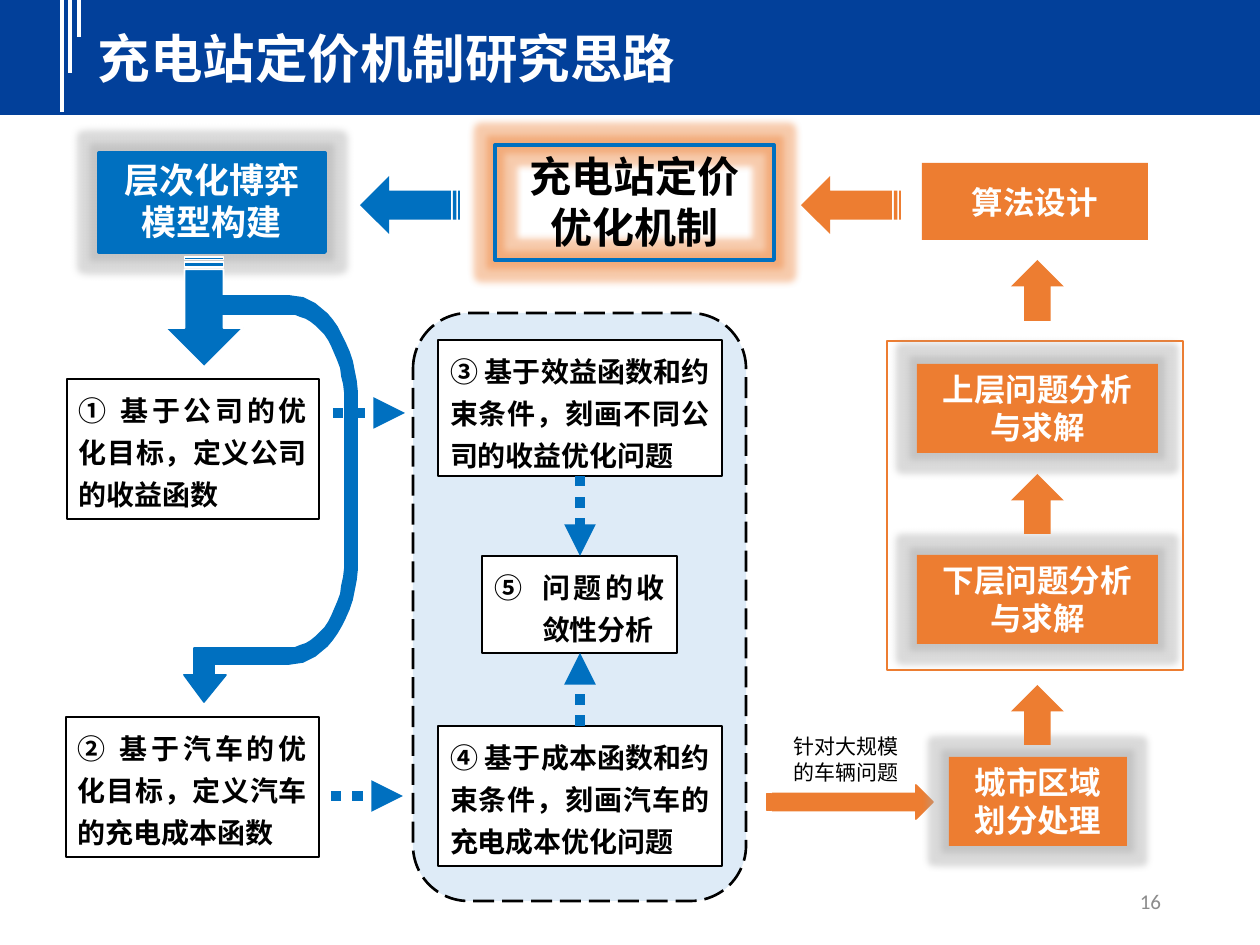
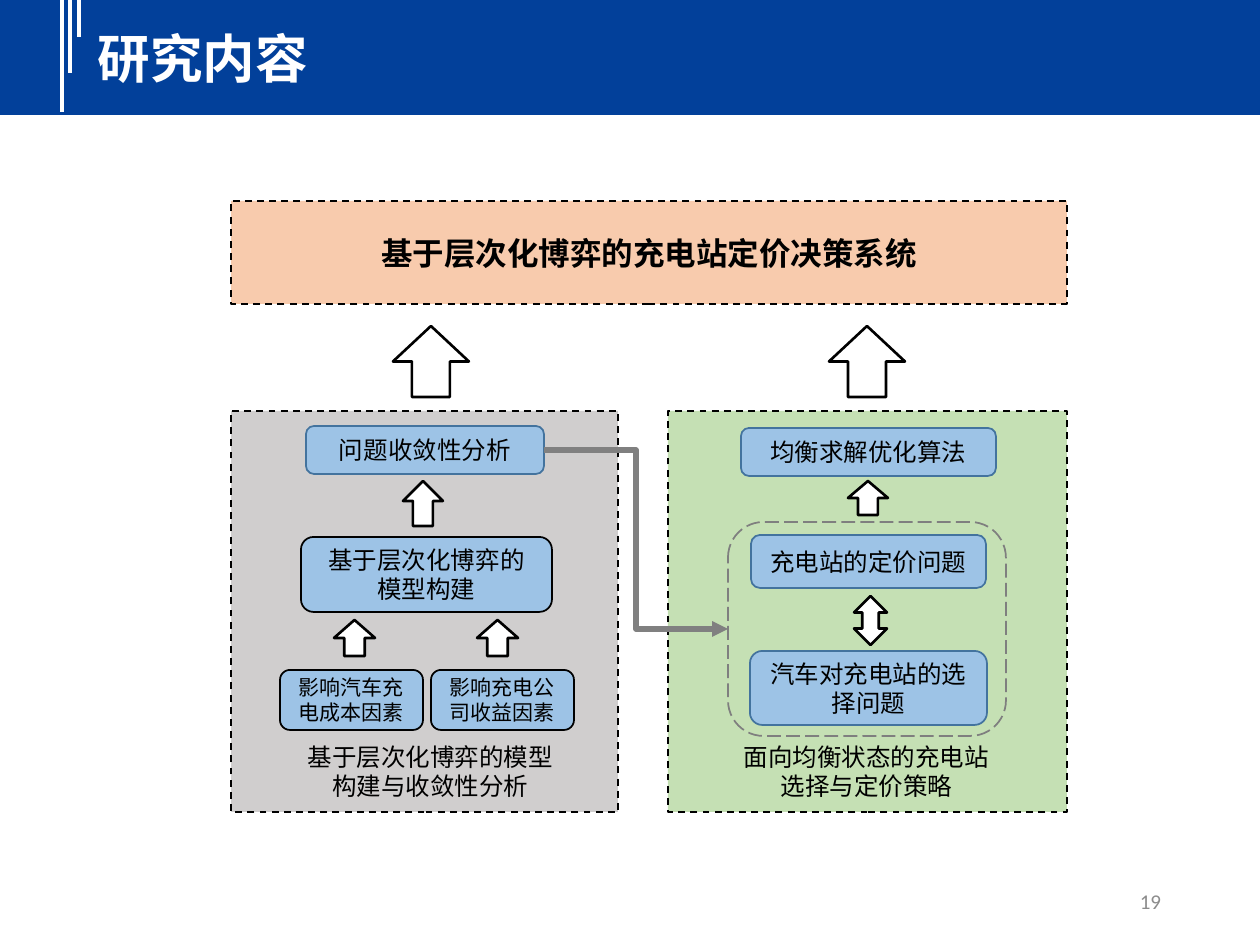
import pptx
import pptx.dml.color
import pptx.enum.dml
import pptx.enum.shapes
import pptx.enum.text
import pptx.oxml
import pptx.oxml.ns
import pptx.util
import lxml.etree

PX = 914400 / 126
BLUE, ORANGE, BLACK, WHITE = "0070C0", "ED7D31", "000000", "FFFFFF"
NAVY, SKY, SKY_EDGE, GREY = "02409A", "9DC3E6", "43739E", "A5A5A5"
CJK = "Noto Sans CJK SC"
SHAPE = pptx.enum.shapes.MSO_SHAPE
DASH = pptx.enum.dml.MSO_LINE
ALIGN = pptx.enum.text.PP_ALIGN
ANCHOR = pptx.enum.text.MSO_ANCHOR


def emu(px):
    return pptx.util.Emu(round(px * PX))


def rgb(code):
    return pptx.dml.color.RGBColor.from_string(code)


def add_xml(parent, tag, **attrs):
    return lxml.etree.SubElement(parent, pptx.oxml.ns.qn(tag), attrs)


def bezier(start, c1, c2, end, steps=16):
    points = []
    for i in range(1, steps + 1):
        t = i / steps
        weights = ((1 - t) ** 3, 3 * t * (1 - t) ** 2, 3 * t * t * (1 - t), t ** 3)
        points.append(tuple(sum(w * q[axis] for w, q in zip(weights, (start, c1, c2, end)))
                            for axis in (0, 1)))
    return points


class Deck:
    def __init__(self):
        self.prs = pptx.Presentation()
        self.prs.slide_width, self.prs.slide_height = emu(1260), emu(945)

    def slide(self, title, number):
        self.s = self.prs.slides.add_slide(self.prs.slide_layouts[6])
        self.shape(SHAPE.RECTANGLE, 0, 0, 1260, 115, NAVY)
        for x, bottom in ((62, 112), (70, 73), (79, 37)):
            self.line(x, 0, x, bottom, WHITE, 2.25)
        self.text(86, 20, 1149, 77, title, 30, WHITE, bold=True, align=ALIGN.LEFT)
        self.text(890, 876, 283, 50, number, 12, "8C8C8C", align=ALIGN.RIGHT,
                  anchor=ANCHOR.MIDDLE, font="Calibri")

    def paint(self, sp, fill=None, line=None, width=1, dash=None):
        sp.shadow.inherit = False
        if fill:
            sp.fill.solid()
            sp.fill.fore_color.rgb = rgb(fill)
        else:
            sp.fill.background()
        if line:
            self.stroke(sp, line, width, dash)
        else:
            sp.line.fill.background()

    def stroke(self, sp, color, width, dash):
        sp.line.color.rgb = rgb(color)
        sp.line.width = pptx.util.Pt(width)
        if dash:
            sp.line.dash_style = dash

    def shape(self, kind, x, y, w, h, fill=None, line=None, width=1, dash=None, turn=0):
        sp = self.s.shapes.add_shape(kind, emu(x), emu(y), emu(w), emu(h))
        self.paint(sp, fill, line, width, dash)
        sp.rotation = turn
        return sp

    def glow(self, sp, color):
        effects = sp._element.spPr.find(pptx.oxml.ns.qn("a:effectLst"))
        clr = add_xml(add_xml(effects, "a:glow", rad="101600"), "a:srgbClr", val=color)
        add_xml(clr, "a:alpha", val="40000")

    def outline(self, points, color):
        builder = self.s.shapes.build_freeform(*points[0], scale=PX)
        builder.add_line_segments(points[1:], close=True)
        self.paint(builder.convert_to_shape(), color, color)

    def line(self, x1, y1, x2, y2, color, width, dash=None, arrow=False, elbow=False):
        kinds = pptx.enum.shapes.MSO_CONNECTOR
        cn = self.s.shapes.add_connector(kinds.ELBOW if elbow else kinds.STRAIGHT,
                                         emu(x1), emu(y1), emu(x2), emu(y2))
        self.stroke(cn, color, width, dash)
        if arrow:
            add_xml(cn.line._get_or_add_ln(), "a:tailEnd", type="triangle")
        add_xml(cn._element.spPr, "a:effectLst")

    def text(self, x, y, w, h, text, size, color, **style):
        sp = self.s.shapes.add_textbox(emu(x), emu(y), emu(w), emu(h))
        self.label(sp, text, size, color, **style)

    def label(self, sp, text, size, color=BLACK, bold=False, align=ALIGN.CENTER,
              anchor=ANCHOR.TOP, spacing=1, font=CJK, number=None):
        tf = sp.text_frame
        tf.word_wrap = True
        tf.vertical_anchor = anchor
        tf.margin_left = tf.margin_right = emu(12)
        tf.margin_top = tf.margin_bottom = emu(6)
        tf.text = text
        for p in tf.paragraphs:
            p.alignment = align
            p.line_spacing = pptx.util.Pt(size * 1.2 * spacing)
            pPr = p._p.get_or_add_pPr()
            if number:
                pPr.set("marL", str(emu(48)))
                pPr.set("indent", str(emu(-48)))
                add_xml(add_xml(pPr, "a:buClr"), "a:srgbClr", val=color)
                add_xml(pPr, "a:buAutoNum", type="circleNumDbPlain", startAt=str(number))
            p.font.name = font
            p.font.size = pptx.util.Pt(size)
            p.font.bold = bold
            p.font.color.rgb = rgb(color)
            add_xml(pPr.find(pptx.oxml.ns.qn("a:defRPr")), "a:ea", typeface=font)

    def step(self, x, y, w, h, text, number=None):
        sp = self.shape(SHAPE.RECTANGLE, x, y, w, h, WHITE, BLACK, 0.75)
        self.label(sp, text, 16, bold=True, align=ALIGN.JUSTIFY, spacing=1.25, number=number)

    def block(self, x, y, w, h, text, size, fill, glow=GREY, line=None, color=WHITE,
              anchor=ANCHOR.TOP):
        sp = self.shape(SHAPE.RECTANGLE, x, y, w, h, fill, line, 2.25)
        if glow:
            self.glow(sp, glow)
        self.label(sp, text, size, color, bold=True, anchor=anchor)

    def node(self, x, y, w, h, text, size=14, line=SKY_EDGE):
        sp = self.shape(SHAPE.ROUNDED_RECTANGLE, x, y, w, h, SKY, line)
        self.label(sp, text, size, anchor=ANCHOR.MIDDLE)

    def dotted_arrow(self, x1, y1, x2, y2):
        self.line(x1, y1, x2, y2, BLUE, 6, DASH.ROUND_DOT, arrow=True)


def pricing_approach(d):
    d.slide("充电站定价机制研究思路", "16")
    d.shape(SHAPE.ROUNDED_RECTANGLE, 413, 313, 333, 588, "DEEBF7", BLACK, 1.5, DASH.LONG_DASH)

    d.block(495, 145, 279, 115, "充电站定价\n优化机制", 24, None, ORANGE, BLUE, BLACK)
    d.block(99, 153, 226, 99, "层次化博弈模型构建", 20, BLUE, GREY, BLUE)
    for x, color in ((360, BLUE), (801, ORANGE)):
        d.shape(SHAPE.STRIPED_RIGHT_ARROW, x, 176, 100, 58, color, turn=180)
    d.shape(SHAPE.STRIPED_RIGHT_ARROW, 149, 273, 110, 78, BLUE, WHITE, turn=90)

    d.step(67, 379, 252, 140, "① 基于公司的优化目标，定义公司的收益函数")
    d.step(66, 717, 253, 140, "② 基于汽车的优化目标，定义汽车的充电成本函数")
    d.step(438, 340, 284, 136, "③ 基于效益函数和约束条件，刻画不同公司的收益优化问题")
    d.step(438, 726, 284, 140, "④ 基于成本函数和约束条件，刻画汽车的充电成本优化问题")
    d.step(482, 556, 195, 97, "问题的收敛性分析", number=5)

    outer = [(202, 296), (289, 296), *bezier((289, 296), (326, 296), (357, 344), (357, 402)),
             (357, 559), *bezier((357, 559), (357, 617), (326, 664), (289, 664))]
    head = [(214, 664), (214, 675), (226, 675), (204, 702), (184, 675), (194, 675), (194, 648)]
    inner = [(289, 648), *bezier((289, 648), (320, 648), (345, 609), (345, 559)),
             (345, 402), *bezier((345, 402), (345, 353), (320, 314), (289, 314)), (202, 314)]
    d.outline(outer + head + inner, BLUE)

    d.dotted_arrow(333, 413, 405, 413)
    d.dotted_arrow(331, 796, 403, 796)
    d.dotted_arrow(580, 476, 580, 556)
    d.dotted_arrow(580, 726, 580, 653)

    d.shape(SHAPE.STRIPED_RIGHT_ARROW, 767, 785, 166, 34, ORANGE, ORANGE)
    d.text(782, 728, 137, 63, "针对大规模的车辆问题", 12, BLACK, align=ALIGN.LEFT)
    d.shape(SHAPE.RECTANGLE, 887, 341, 296, 329, None, ORANGE)
    d.block(949, 757, 178, 89, "城市区域划分处理", 18, ORANGE)
    d.block(917, 555, 241, 89, "下层问题分析与求解", 18, ORANGE)
    d.block(917, 364, 241, 89, "上层问题分析与求解", 18, ORANGE)
    d.block(922, 163, 226, 77, "算法设计", 18, ORANGE, None, anchor=ANCHOR.MIDDLE)
    for y, h in ((260, 61), (474, 60), (685, 60)):
        d.shape(SHAPE.UP_ARROW, 1011, y, 53, h, ORANGE)


def research_content(d):
    d.slide("研究内容", "19")
    for x, w, fill in ((231, 387, "D0CECE"), (668, 399, "C5E0B4")):
        d.shape(SHAPE.RECTANGLE, x, 411, w, 401, fill, BLACK, 1, DASH.DASH)
    d.shape(SHAPE.ROUNDED_RECTANGLE, 728, 522, 278, 214, None, "7F7F7F", 1, DASH.LONG_DASH)
    system = d.shape(SHAPE.RECTANGLE, 231, 201, 836, 103, "F8CBAD", BLACK, 1, DASH.DASH)
    d.label(system, "基于层次化博弈的充电站定价决策系统", 18, bold=True, anchor=ANCHOR.MIDDLE)

    for x, caption in ((292, "基于层次化博弈的模型构建与收敛性分析"),
                       (728, "面向均衡状态的充电站选择与定价策略")):
        d.text(x, 736, 277, 72, caption, 14, BLACK)

    d.node(306, 426, 238, 48, "问题收敛性分析")
    d.node(301, 537, 251, 75, "基于层次化博弈的模型构建", line=BLACK)
    for x, factor in ((280, "影响汽车充电成本因素"), (431, "影响充电公司收益因素")):
        d.node(x, 670, 143, 60, factor, 12, BLACK)
    d.node(741, 428, 255, 48, "均衡求解优化算法")
    d.node(751, 535, 235, 53, "充电站的定价问题")
    d.node(750, 651, 237, 74, "汽车对充电站的选择问题")

    for x, y, w, h in ((393, 326, 76, 71), (829, 326, 76, 71), (403, 481, 40, 45),
                       (334, 620, 41, 36), (477, 620, 41, 36), (848, 481, 40, 34)):
        d.shape(SHAPE.UP_ARROW, x, y, w, h, WHITE, BLACK, 1.5)
    d.shape(SHAPE.UP_DOWN_ARROW, 854, 596, 33, 49, WHITE, BLACK, 1.5)
    d.line(544, 450, 728, 629, "808080", 3, arrow=True, elbow=True)


def main():
    deck = Deck()
    pricing_approach(deck)
    research_content(deck)
    deck.prs.save("out.pptx")


if __name__ == "__main__":
    main()
